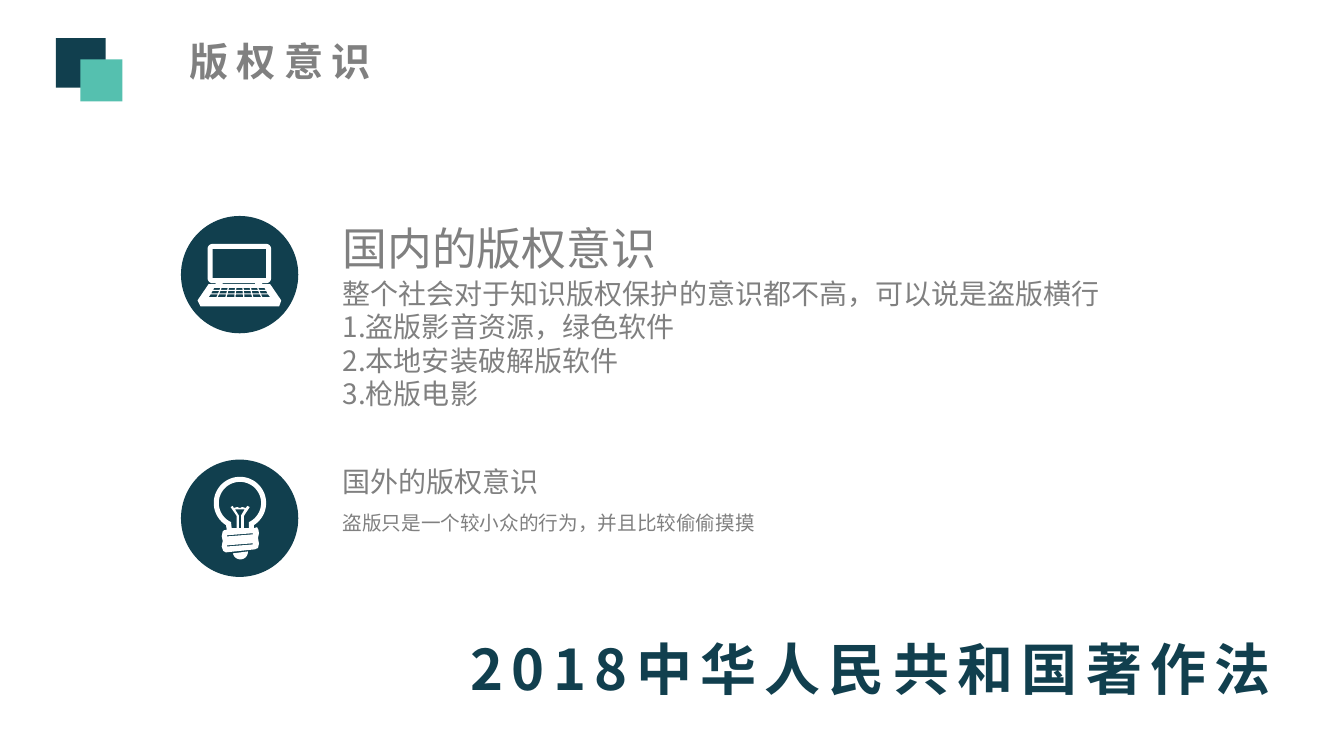
from dataclasses import dataclass
from math import cos, radians, sin

from pptx import Presentation
from pptx.dml.color import RGBColor
from pptx.enum.shapes import MSO_SHAPE as Preset
from pptx.enum.text import MSO_ANCHOR as Anchor, MSO_AUTO_SIZE as AutoSize, PP_ALIGN as Align
from pptx.oxml.ns import qn
from pptx.oxml.xmlchemy import OxmlElement
from pptx.util import Pt


@dataclass(frozen=True)
class Theme:
    """Colours, type sizes and font of the deck."""
    font: str = "Noto Sans CJK SC"
    dark: str = "113F4E"
    accent: str = "55C0AF"
    grey: str = "808080"
    white: str = "FFFFFF"
    small: int = 14
    body: int = 20
    title: int = 28
    heading: int = 32
    banner: int = 40
    tracking: int = 6


def arc(center, radius, start, end, step=6):
    """Return points along a circular arc, angles in degrees, clockwise."""
    x, y = center
    return [(x + radius * cos(radians(angle)), y + radius * sin(radians(angle)))
            for angle in range(start, end + 1, step)]


def rectangle(left, top, right, bottom):
    """Return the corners of a rectangle."""
    return [(left, top), (right, top), (right, bottom), (left, bottom)]


def rounded(left, top, right, bottom, radius):
    """Return the outline of a rectangle with round corners."""
    centers = [(right - radius, bottom - radius), (left + radius, bottom - radius),
               (left + radius, top + radius), (right - radius, top + radius)]
    return [point for turn, center in enumerate(centers)
            for point in arc(center, radius, 90 * turn, 90 * turn + 90, 15)]


def key_row(top, bottom, half_top, half_bottom, center=171, count=7, gap=0.9):
    """Return one keyboard row of equal keys that widens towards the viewer."""
    def edges(half, index):
        """Return the left and right edge of one key."""
        pitch = 2 * half / count
        left = center - half + index * pitch
        return left + gap / 2, left + pitch - gap / 2

    keys = []
    for index in range(count):
        (a, b), (c, d) = edges(half_top, index), edges(half_bottom, index)
        keys.append([(a, top), (b, top), (d, bottom), (c, bottom)])
    return keys


def laptop():
    """Return the contours of the laptop icon."""
    rows = [(205.6, 207.1, 18.4, 19.2), (207.8, 209.5, 19.6, 20.6),
            (210.3, 212.3, 21, 22.4)]
    return [
        rounded(148.3, 174.2, 193.7, 202.3, 3.6),
        rectangle(151.9, 177.8, 190.1, 198.7),
        rectangle(154.1, 202.3, 159.1, 203),
        rectangle(182.2, 202.3, 187.2, 203),
        [(149, 203), (193, 203), (200.9, 214.6), (199.4, 218.9), (143.3, 218.9), (141.1, 214.6)],
        *(key for row in rows for key in key_row(*row)),
    ]


def bulb():
    """Return the contours of the light bulb icon."""
    center = (171.4, 359.3)
    glass = arc(center, 18.7, 122, 418, 4) + [
        (181.4, 377.3), (183.6, 376.6), (184.6, 378.5), (185, 381), (184.3, 384.2),
        (184.6, 386), (185, 388.4), (184.3, 391.4), (182.2, 392.4), (161.3, 394.6),
        (159.4, 393.5), (158.4, 390.5), (159.1, 386.3), (158.4, 383), (159.1, 379.6),
        (160.2, 378.7), (162, 378.5)]
    hollow = arc(center, 15.1, 115, 425, 5) + [
        (177.8, 377.3), (174.2, 377.3), (174.2, 368.6), (178.4, 362.2), (176.6, 361.4),
        (175.6, 362.9), (173, 362.2), (171.4, 362.9), (169.4, 362.2), (167, 362.9),
        (166.3, 361.4), (164.7, 362.2), (169.1, 368.6), (169.1, 377.3), (165.5, 377.3)]
    filament = [(174.8, 363.8), (167.8, 363.8), (170.6, 368.2), (170.6, 377.3),
                (172.2, 377.3), (172.2, 368.2)]
    slots = [[(180.7, y), (162, y + 1.5), (162, y + 2.3), (180.7, y + 0.8)]
             for y in (380.9, 388.1)]
    tip = [(166.3, 395.3), (177.1, 393.9)] + arc((171.7, 394.2), 5.4, 0, 168, 12)
    return [glass, hollow, filament, *slots, tip]


class Painter:
    """Holds the theme and the current page and draws elements on it."""

    def __init__(self, page, theme):
        """Keep the page and its style."""
        self.page, self.theme = page, theme

    def finish(self, shape, color):
        """Give a shape a plain fill without line or shadow."""
        shape.shadow.inherit = False
        shape.fill.solid()
        shape.fill.fore_color.rgb = RGBColor.from_string(color)
        shape.line.fill.background()

    def preset(self, kind, frame, color):
        """Draw a preset shape; frame is left, top, width, height."""
        self.finish(self.page.shapes.add_shape(kind, *map(Pt, frame)), color)

    def icon(self, contours, color):
        """Draw closed contours as one freeform; inner contours are holes."""
        first, *others = [[(Pt(x), Pt(y)) for x, y in contour] for contour in contours]
        builder = self.page.shapes.build_freeform(*first[0])
        builder.add_line_segments(first[1:], close=True)
        for contour in others:
            builder.move_to(*contour[0])
            builder.add_line_segments(contour[1:], close=True)
        self.finish(builder.convert_to_shape(), color)

    def fill_box(self, box, frame, lines, size, color, bold=False, tracking=0,
                 align=Align.LEFT, wrap=True):
        """Place a text holder and fill it with one paragraph per line."""
        for name, value in zip(("left", "top", "width", "height"), frame):
            setattr(box, name, Pt(value))
        text = box.text_frame
        layout = {"word_wrap": wrap, "auto_size": AutoSize.NONE, "vertical_anchor": Anchor.TOP}
        for name, value in layout.items():
            setattr(text, name, value)
        for index, line in enumerate(lines):
            para = text.add_paragraph() if index else text.paragraphs[0]
            para.alignment = align
            span = para.add_run()
            span.text = line
            style = {"name": self.theme.font, "size": Pt(size), "bold": bold}
            for name, value in style.items():
                setattr(span.font, name, value)
            span.font.color.rgb = RGBColor.from_string(color)
            props = span._r.get_or_add_rPr()
            props.set("spc", str(tracking * 100))
            east_asian = OxmlElement("a:ea")
            east_asian.set("typeface", self.theme.font)
            props.find(qn("a:latin")).addnext(east_asian)

    def title(self, frame, line, **options):
        """Set the slide title in its placeholder."""
        self.fill_box(self.page.shapes.title, frame, [line], **options)

    def text(self, frame, *lines, **options):
        """Add a text box with the given lines."""
        box = self.page.shapes.add_textbox(*map(Pt, frame))
        self.fill_box(box, frame, lines, **options)


def main():
    """Build the deck and save it."""
    theme = Theme()
    deck = Presentation()
    deck.slide_width, deck.slide_height = Pt(960), Pt(540)
    painter = Painter(deck.slides.add_slide(deck.slide_layouts[5]), theme)

    painter.title((124, 23, 152, 41), "版权意识", size=theme.title, color=theme.grey,
                  bold=True, tracking=theme.tracking, align=Align.CENTER, wrap=False)
    painter.preset(Preset.RECTANGLE, (40, 27.2, 35.4, 35.4), theme.dark)
    painter.preset(Preset.RECTANGLE, (57.4, 42.4, 30, 30), theme.accent)

    for top, contours in ((154.3, laptop()), (328.3, bulb())):
        painter.preset(Preset.OVAL, (129.3, top, 83.8, 83.8), theme.dark)
        painter.icon(contours, theme.white)

    grey = {"color": theme.grey}
    painter.text((237.6, 154, 240, 46), "国内的版权意识", size=theme.heading, wrap=False, **grey)
    painter.text((237.6, 193.7, 664, 104), "整个社会对于知识版权保护的意识都不高，可以说是盗版横行",
                 "1.盗版影音资源，绿色软件", "2.本地安装破解版软件", "3.枪版电影",
                 size=theme.body, **grey)
    painter.text((237.6, 328.3, 158, 32), "国外的版权意识", size=theme.body, wrap=False, **grey)
    painter.text((237.6, 361.4, 595, 24), "盗版只是一个较小众的行为，并且比较偷偷摸摸",
                 size=theme.small, **grey)
    painter.text((329, 450, 631, 55), "2018中华人民共和国著作法", size=theme.banner,
                 color=theme.dark, bold=True, tracking=theme.tracking)
    deck.save("out.pptx")


main()
